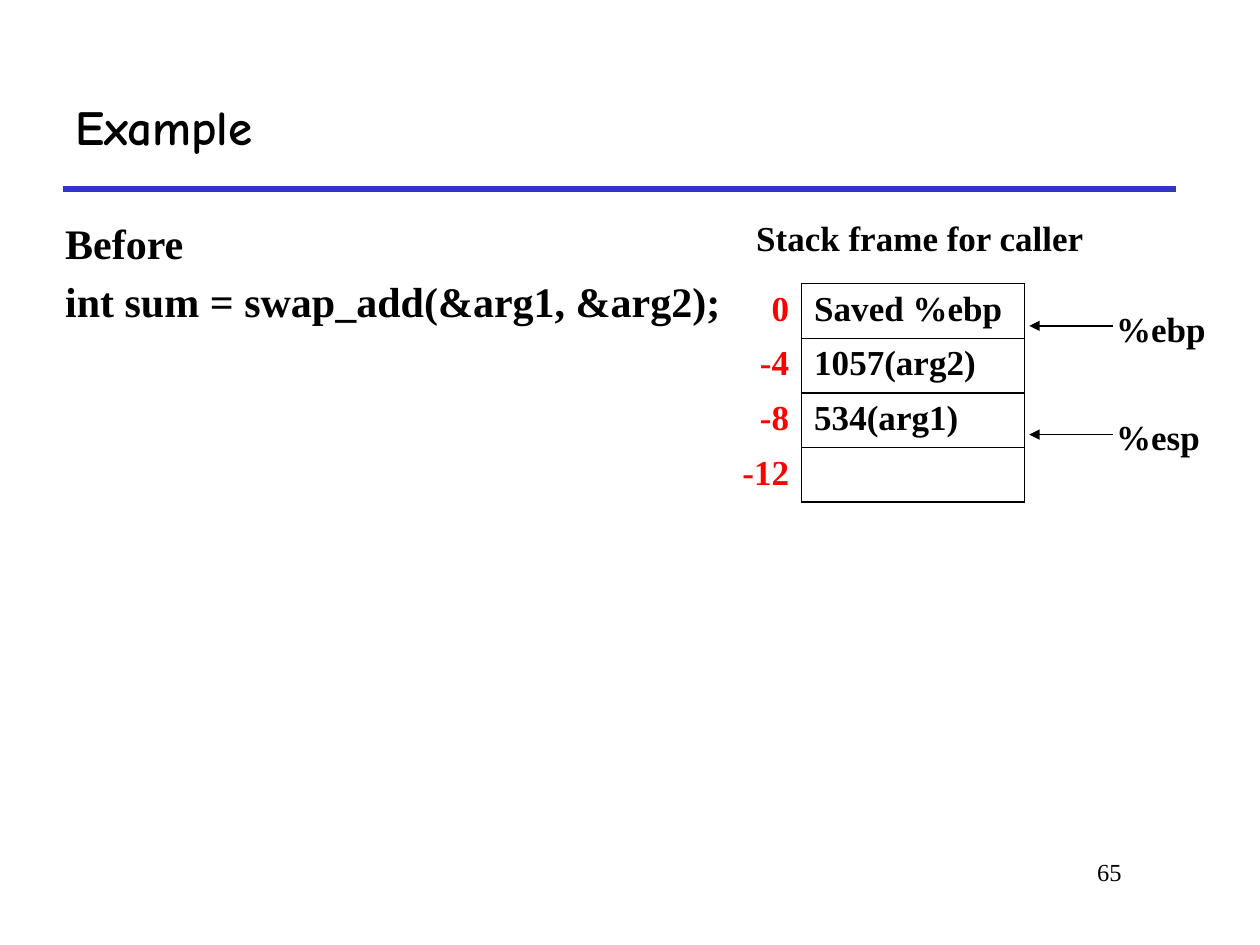
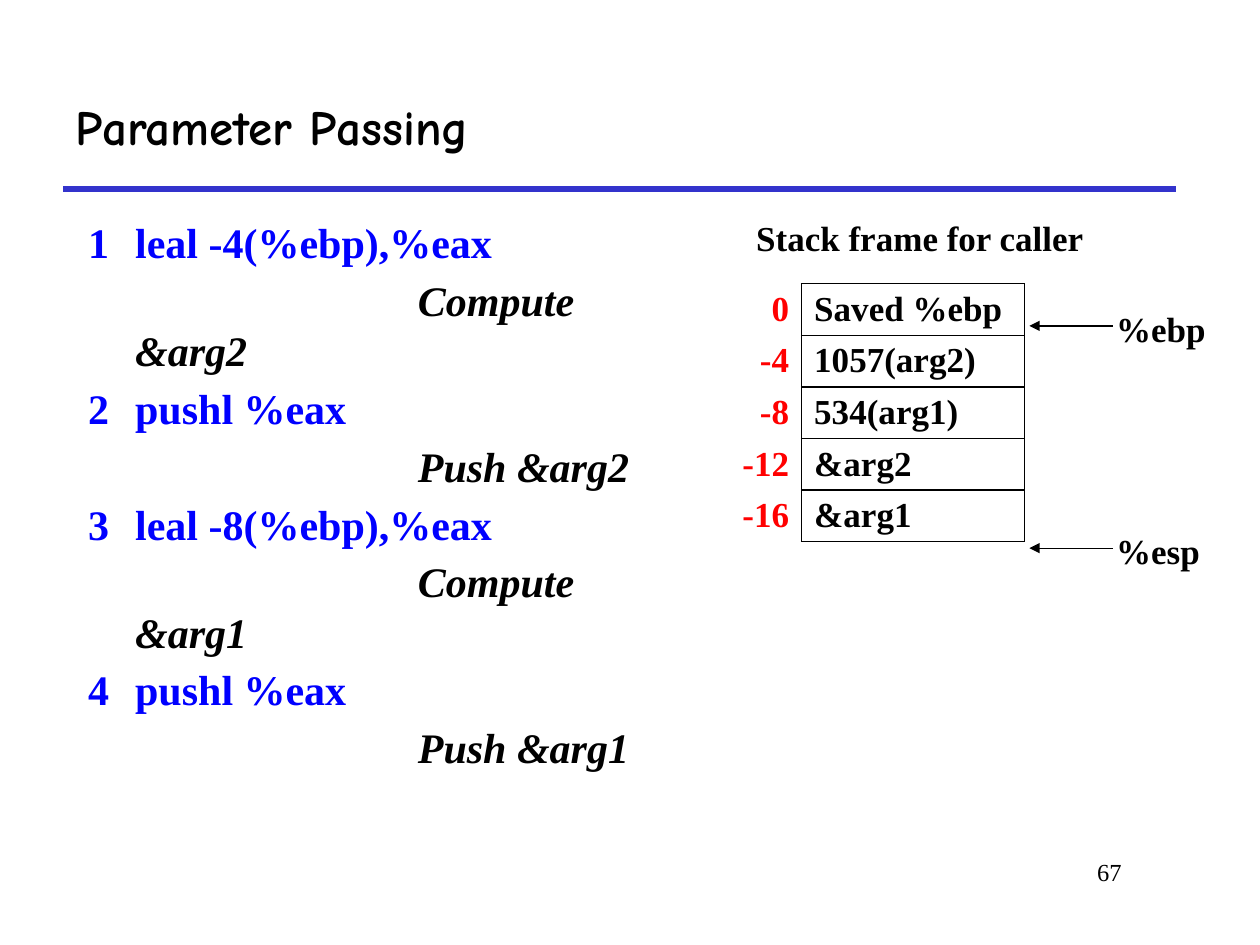
from lxml import etree
from pptx import Presentation
from pptx.dml.color import RGBColor
from pptx.enum.shapes import MSO_CONNECTOR
from pptx.enum.text import MSO_ANCHOR, MSO_AUTO_SIZE, PP_ALIGN
from pptx.oxml.ns import qn
from pptx.util import Cm, Pt

LEFT, CENTER, RIGHT = PP_ALIGN.LEFT, PP_ALIGN.CENTER, PP_ALIGN.RIGHT
TOP, MIDDLE = MSO_ANCHOR.TOP, MSO_ANCHOR.MIDDLE
NO_AUTOFIT = MSO_AUTO_SIZE.NONE
STRAIGHT = MSO_CONNECTOR.STRAIGHT

COLORS = {"text": "000000", "rule": "3333CC", "offset": "FF0000", "code": "0000FF"}
TITLE_FONT, TEXT_FONT = "Comic Neue", "Times New Roman"
CODE_INDENT = Cm(0.95)
COMMENT_INDENT = Cm(5.7)


def rgb(color):
    return RGBColor.from_string(COLORS[color])


def format_paragraph(paragraph, size, color="text", font=TEXT_FONT, bold=True,
                     italic=False, align=LEFT):
    paragraph.alignment = align
    for run in paragraph.runs:
        run.font.name = font
        run.font.size = Pt(size)
        run.font.bold = bold
        run.font.italic = italic
        run.font.color.rgb = rgb(color)


def place(shape, left, top, width, height):
    shape.left, shape.top = Cm(left), Cm(top)
    shape.width, shape.height = Cm(width), Cm(height)


def add_line(slide, start, end, color, width, arrow=False):
    line = slide.shapes.add_connector(STRAIGHT, *(Cm(v) for v in start + end))
    line.line.color.rgb = rgb(color)
    line.line.width = Pt(width)
    if arrow:
        etree.SubElement(line.line._get_or_add_ln(), qn("a:tailEnd"), type="triangle")
    etree.SubElement(line._element.spPr, qn("a:effectLst"))


def add_text(slide, text, box, size, **style):
    frame = slide.shapes.add_textbox(*(Cm(v) for v in box)).text_frame
    frame.word_wrap = True
    frame.text = text
    format_paragraph(frame.paragraphs[0], size, **style)


def add_base_slide(prs, title, number):
    """Add a slide with the title, the rule below it and the page number."""
    slide = prs.slides.add_slide(prs.slide_layouts[1])
    heading = slide.shapes.title
    place(heading, 1.27, 1.27, 22.43, 2.54)
    heading.text_frame.text = title
    heading.text_frame.vertical_anchor = MIDDLE
    heading.text_frame.auto_size = NO_AUTOFIT
    format_paragraph(heading.text_frame.paragraphs[0], 28, font=TITLE_FONT)
    add_line(slide, (1.27, 3.81), (23.7, 3.81), "rule", 3)
    add_text(slide, number, (19.25, 17.15, 3.61, 1.27), 14, bold=False, align=RIGHT)
    return slide


def fill_body(slide, box, lines):
    """Write (text, color, italic, left margin, first-line indent) lines."""
    body = slide.placeholders[1]
    place(body, *box)
    frame = body.text_frame
    frame.auto_size = NO_AUTOFIT
    frame.vertical_anchor = TOP
    for i, (text, color, italic, margin, indent) in enumerate(lines):
        paragraph = frame.paragraphs[0] if i == 0 else frame.add_paragraph()
        paragraph.text = text
        props = paragraph._p.get_or_add_pPr()
        props.set("marL", str(margin))
        props.set("indent", str(indent))
        etree.SubElement(props, qn("a:buNone"))
        paragraph.space_before = Pt(4.2 if i else 0)
        format_paragraph(paragraph, 24, color, italic=italic)


def border_cell(cell, sides):
    props = cell._tc.get_or_add_tcPr()
    for i, side in enumerate(sides):
        line = etree.Element(qn(f"a:ln{side}"), w=str(Pt(1)))
        fill = etree.SubElement(line, qn("a:solidFill"))
        etree.SubElement(fill, qn("a:srgbClr"), val=COLORS["text"])
        props.insert(i, line)


def add_stack_frame(slide, values, row_height, esp_y):
    """Draw the caller's stack, one 4-byte slot a row, and its two pointers."""
    add_text(slide, "Stack frame for caller", (14.81, 4.24, 7.47, 1.09), 20, align=CENTER)
    columns = [1.55, 4.49]
    stack = slide.shapes.add_table(len(values), 2, Cm(14.61), Cm(5.72), Cm(sum(columns)),
                                   Cm(row_height * len(values))).table
    stack.first_row = stack.horz_banding = False
    for column, width in zip(stack.columns, columns):
        column.width = Cm(width)
    for row, value in enumerate(values):
        stack.rows[row].height = Cm(row_height)
        cells = ((str(-4 * row), "offset", RIGHT, "R"), (value, "text", LEFT, "LRTB"))
        for col, (text, color, align, sides) in enumerate(cells):
            cell = stack.cell(row, col)
            cell.text = text
            cell.margin_bottom = Cm(0.05)
            cell.fill.background()
            format_paragraph(cell.text_frame.paragraphs[0], 20, color, align=align)
            border_cell(cell, sides)
    for register, y in (("%ebp", 6.57), ("%esp", esp_y)):
        add_text(slide, register, (22.25, y - 0.5, 2.6, 1.09), 20)
        add_line(slide, (22.43, y), (20.75, y), "text", 0.75, arrow=True)


def main():
    prs = Presentation()
    prs.slide_width, prs.slide_height = Cm(25.4), Cm(19.05)
    slots = ["Saved %ebp", "1057(arg2)", "534(arg1)"]

    example = add_base_slide(prs, "Example", "65")
    fill_body(example, (1.06, 4.26, 13.94, 2.51),
              [(text, "text", False, 0, 0)
               for text in ("Before", "int sum = swap_add(&arg1, &arg2);")])
    add_stack_frame(example, slots + [""], 1.1, 8.76)

    passing = add_base_slide(prs, "Parameter Passing", "67")
    steps = [("leal -4(%ebp),%eax", "Compute &arg2"), ("pushl %eax", "Push &arg2"),
             ("leal -8(%ebp),%eax", "Compute &arg1"), ("pushl %eax", "Push &arg1")]
    lines = []
    for number, (code, comment) in enumerate(steps, 1):
        lines.append((f"{number}\t{code}", "code", False, CODE_INDENT, -CODE_INDENT))
        lines.append((comment, "text", True, CODE_INDENT, COMMENT_INDENT))
    fill_body(passing, (1.52, 4.24, 11.96, 9.91), lines)
    add_stack_frame(passing, slots + ["&arg2", "&arg1"], 1.04, 11.05)

    prs.save("out.pptx")


if __name__ == "__main__":
    main()
